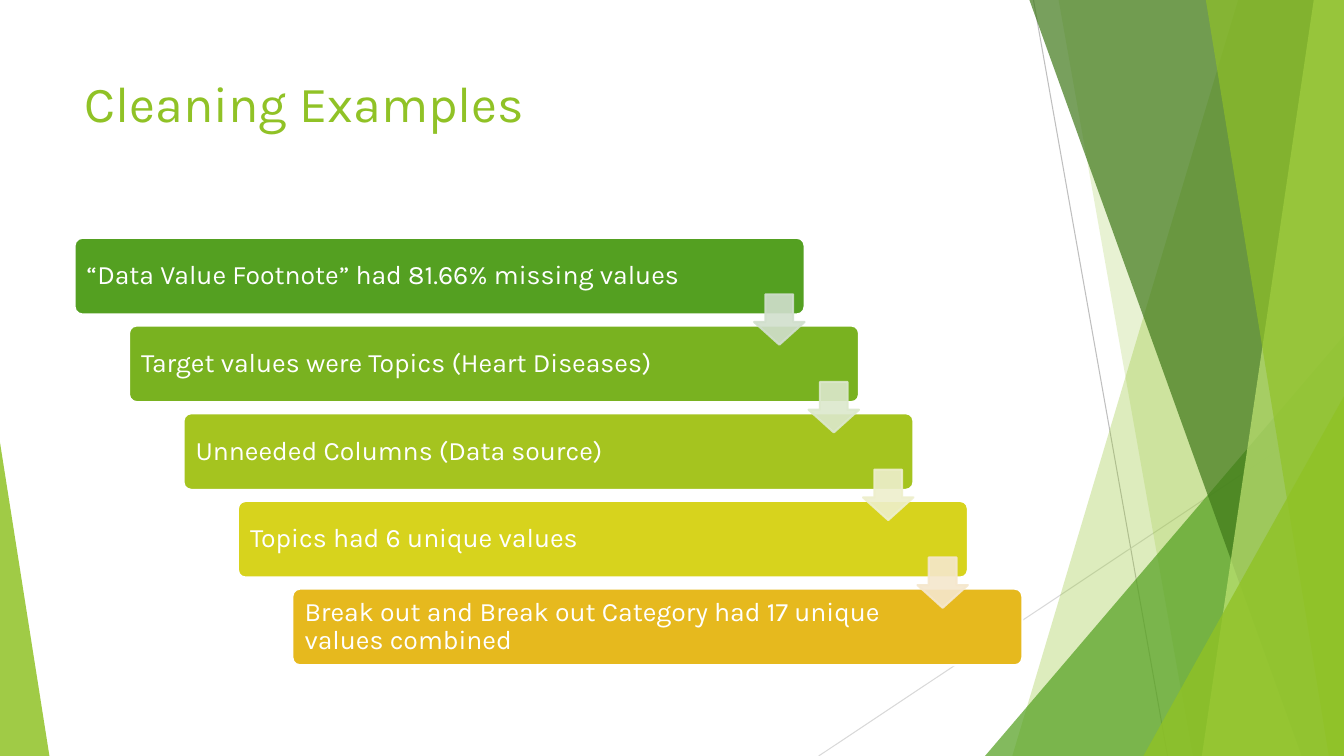
import pptx
import pptx.util
import pptx.dml.color
import pptx.enum.shapes
import pptx.enum.text
import pptx.oxml
import pptx.oxml.ns

Inches = pptx.util.Inches
Pt = pptx.util.Pt
SHAPE = pptx.enum.shapes.MSO_SHAPE

# Content
FONT = "Karla"
TITLE = "Cleaning Examples"
STEPS = [  # text, bar colour, colour of the arrow to the next step
    ("“Data Value Footnote” had 81.66% missing values", "green", "pale_green"),
    ("Target values were Topics (Heart Diseases)", "grass", "pale_grass"),
    ("Unneeded Columns (Data source)", "lime", "pale_lime"),
    ("Topics had 6 unique values", "yellow", "pale_yellow"),
    ("Break out and Break out Category had 17 unique values combined", "gold", None),
]
COLORS = {
    "white": "FFFFFF", "accent": "90C226", "dark": "3F7819", "light": "C0E474",
    "green": "54A021", "grass": "79B220", "lime": "A5C41F",
    "yellow": "D7D31D", "gold": "E6B91E",
    "pale_green": "D1DFCD", "pale_grass": "DCE8CC",
    "pale_lime": "EEEFCC", "pale_yellow": "F5E7CD",
    "gray": "BFBFBF", "light_gray": "D9D9D9",
}
WIDTH, HEIGHT = 13.33, 7.5

# Background: thin lines, then facets from back to front
LINES = [((10.25, 0), (11.58, HEIGHT), "gray"),
         ((WIDTH, 4.03), (8.12, HEIGHT), "light_gray")]
FACETS = [  # bands: top-left x, bottom-left x, bottom-right x
    ("band", (12.28, 10.04, WIDTH), "accent", 30),
    ("band", (10.5, 11.83, WIDTH), "accent", 20),
    # triangles: left, top, width, apex position
    ("triangle", (9.77, 3.33, 3.56, 1), "green", 72),
    ("band", (10.21, 12.91, WIDTH), "dark", 70),
    ("band", (13.03, 11.92, WIDTH), "light", 70),
    ("band", (11.96, 13.18, WIDTH), "accent", 65),
    ("triangle", (11.34, 3.93, 1.99, 1), "accent", 80),
    ("triangle", (0, 4.39, 0.49, 0), "accent", 85),
]

# Staircase
BAR_LEFT, BAR_TOP, BAR_W, BAR_H = 0.74, 2.36, 7.24, 0.76
STEP_X, STEP_Y = 0.54, 0.87
ARROW_DX, ARROW_DY, ARROW = 6.74, 0.56, 0.5


def rgb(name):
    return pptx.dml.color.RGBColor.from_string(COLORS[name])


def paint(fill, color, opacity=100):
    fill.solid()
    fill.fore_color.rgb = rgb(color)
    if opacity < 100:
        clr = fill._xPr.find(pptx.oxml.ns.qn("a:solidFill"))[0]
        alpha = pptx.oxml.parse_xml(
            f'<a:alpha {pptx.oxml.ns.nsdecls("a")} val="{opacity * 1000}"/>')
        clr.append(alpha)


def style(sp, color, opacity=100, line=None):
    sp.shadow.inherit = False
    paint(sp.fill, color, opacity)
    if line:
        paint(sp.line.fill, line, opacity)
        sp.line.width = Pt(1.5)
    else:
        sp.line.fill.background()


def add_shape(s, kind, left, top, width, height):
    return s.shapes.add_shape(
        kind, Inches(left), Inches(top), Inches(width), Inches(height))


def add_band(s, top_x, bottom_x, right_x):
    points = [(Inches(x), Inches(y)) for x, y in
              [(top_x, 0), (WIDTH, 0), (right_x, HEIGHT), (bottom_x, HEIGHT)]]
    builder = s.shapes.build_freeform(*points[0], scale=1.0)
    builder.add_line_segments(points[1:], close=True)
    return builder.convert_to_shape()


def add_triangle(s, left, top, width, apex):
    sp = add_shape(s, SHAPE.ISOSCELES_TRIANGLE, left, top, width, HEIGHT - top)
    sp.adjustments[0] = apex
    return sp


def set_text(tf, text, size, color):
    tf.word_wrap = True
    tf.text = text
    p = tf.paragraphs[0]
    p.alignment = pptx.enum.text.PP_ALIGN.LEFT
    font = p.runs[0].font
    font.name, font.size = FONT, Pt(size)
    font.color.rgb = rgb(color)
    return p


def add_background(s):
    for start, end, color in LINES:
        line = s.shapes.add_connector(
            pptx.enum.shapes.MSO_CONNECTOR.STRAIGHT,
            *(Inches(v) for v in start + end))
        line.line.color.rgb = rgb(color)
        line.line.width = Pt(0.75)
        line._element.spPr.append(pptx.oxml.parse_xml(
            f'<a:effectLst {pptx.oxml.ns.nsdecls("a")}/>'))
    makers = {"band": add_band, "triangle": add_triangle}
    for kind, geometry, color, opacity in FACETS:
        style(makers[kind](s, *geometry), color, opacity)


def add_staircase(s):
    spots = [(BAR_LEFT + i * STEP_X, BAR_TOP + i * STEP_Y)
             for i in range(len(STEPS))]
    # Bars
    for (left, top), (text, color, _) in zip(spots, STEPS):
        bar = add_shape(s, SHAPE.ROUNDED_RECTANGLE, left, top, BAR_W, BAR_H)
        bar.adjustments[0] = 0.1
        style(bar, color, line="white")
        tf = bar.text_frame
        tf.margin_left, tf.margin_right = Inches(0.1), Inches(1.14)
        tf.margin_top = tf.margin_bottom = Inches(0.08)
        tf.vertical_anchor = pptx.enum.text.MSO_ANCHOR.MIDDLE
        set_text(tf, text, 19, "white").line_spacing = 0.9
    # Arrows lie over the bars
    for (left, top), (_, _, color) in zip(spots, STEPS):
        if color:
            arrow = add_shape(s, SHAPE.DOWN_ARROW, left + ARROW_DX,
                              top + ARROW_DY, ARROW, ARROW)
            arrow.adjustments[0] = 0.55
            arrow.adjustments[1] = 0.45
            style(arrow, color, 90, line=color)


def main():
    prs = pptx.Presentation()
    prs.slide_width, prs.slide_height = Inches(WIDTH), Inches(HEIGHT)
    s = prs.slides.add_slide(prs.slide_layouts[6])
    add_background(s)
    # Title
    title = s.shapes.add_textbox(
        Inches(0.74), Inches(0.67), Inches(9.4), Inches(1.44))
    set_text(title.text_frame, TITLE, 36, "accent")
    add_staircase(s)
    prs.save("out.pptx")


if __name__ == "__main__":
    main()
